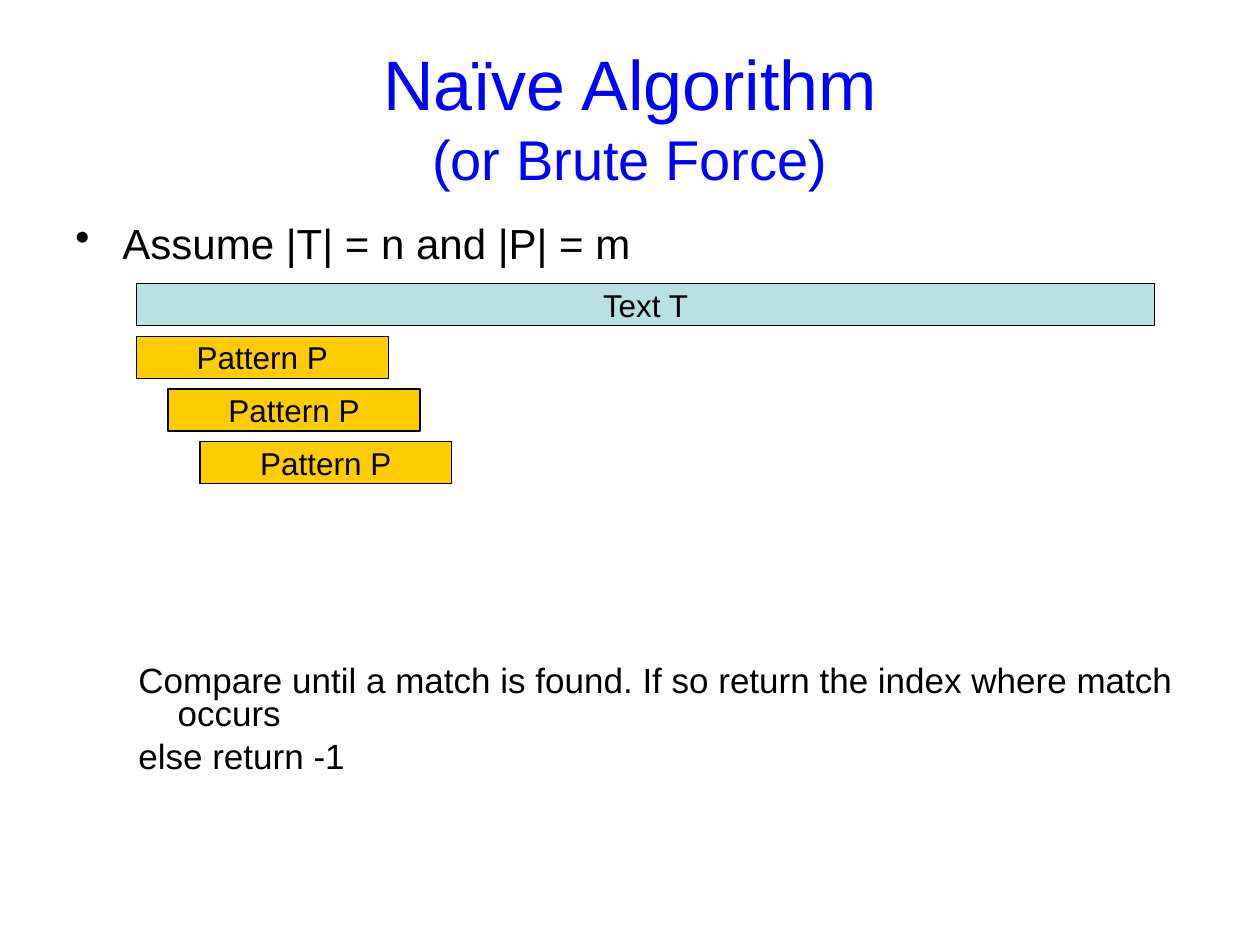
from dataclasses import dataclass

from lxml.etree import SubElement
from pptx import Presentation
from pptx.dml.color import RGBColor
from pptx.enum.shapes import MSO_SHAPE
from pptx.enum.text import MSO_ANCHOR, PP_ALIGN
from pptx.oxml.ns import qn
from pptx.slide import Slide
from pptx.util import Cm, Pt


@dataclass(frozen=True)
class Theme:
    font: str = "Arial"
    title: RGBColor = RGBColor(0, 0, 255)
    ink: RGBColor = RGBColor(0, 0, 0)
    text: RGBColor = RGBColor(0xBB, 0xE0, 0xE3)
    pattern: RGBColor = RGBColor(0xFF, 0xCC, 0)
    head: int = 40
    subhead: int = 32
    point: int = 24
    note: int = 20
    label: int = 18
    line: float = 0.75


@dataclass(frozen=True)
class Bar:
    label: str
    fill: RGBColor
    shift: int
    row: int
    width: float


@dataclass(frozen=True)
class Item:
    words: str
    size: int
    left: float
    hang: float
    before: int
    mark: str = ""


THEME = Theme()
LEFT, TOP = 2.75, 5.72
SHIFT, ROW, HIGH = 0.64, 1.06, 0.85

BARS = [Bar("Text T", THEME.text, 0, 0, 20.53)] + [
    Bar("Pattern P", THEME.pattern, n, n + 1, 5.08) for n in range(3)
]
ITEMS = [
    Item("Assume |T| = n and |P| = m", THEME.point, 0.95, 0.95, 6, "•"),
    Item("Compare until a match is found. If so return the index where match occurs",
         THEME.note, 2.06, 0.79, 228),
    Item("else return -1", THEME.note, 2.06, 0.79, 5),
]


def apply(target, values: dict) -> None:
    for name, value in values.items():
        setattr(target, name, value)


def add_run(para, words: str, size: int, color: RGBColor) -> None:
    run = para.add_run()
    run.text = words
    apply(run.font, {"name": THEME.font, "size": Pt(size)})
    run.font.color.rgb = color


def add_title(slide: Slide) -> None:
    frame = slide.shapes.add_textbox(Cm(1.27), Cm(0.76), Cm(22.86), Cm(3.18)).text_frame
    apply(frame, {"word_wrap": True, "vertical_anchor": MSO_ANCHOR.MIDDLE})
    para = frame.paragraphs[0]
    para.alignment = PP_ALIGN.CENTER
    add_run(para, "Naïve Algorithm", THEME.head, THEME.title)
    para.add_line_break()
    add_run(para, "(or Brute Force)", THEME.subhead, THEME.title)


def add_item(para, item: Item) -> None:
    apply(para, {"line_spacing": 0.8, "space_before": Pt(item.before)})
    add_run(para, item.words, item.size, THEME.ink)
    props = para._p.get_or_add_pPr()
    props.set("marL", str(Cm(item.left)))
    props.set("indent", str(-Cm(item.hang)))
    if item.mark:
        SubElement(props, qn("a:buChar")).set("char", item.mark)
    else:
        SubElement(props, qn("a:buNone"))


def add_body(slide: Slide) -> None:
    frame = slide.shapes.add_textbox(Cm(1.27), Cm(4.45), Cm(22.86), Cm(12.57)).text_frame
    frame.word_wrap = True
    for n, item in enumerate(ITEMS):
        add_item(frame.add_paragraph() if n else frame.paragraphs[0], item)


def add_bar(slide: Slide, bar: Bar) -> None:
    shape = slide.shapes.add_shape(
        MSO_SHAPE.RECTANGLE, Cm(LEFT + bar.shift * SHIFT), Cm(TOP + bar.row * ROW),
        Cm(bar.width), Cm(HIGH))
    shape.shadow.inherit = False
    shape.fill.solid()
    shape.fill.fore_color.rgb = bar.fill
    shape.line.color.rgb = THEME.ink
    shape.line.width = Pt(THEME.line)
    frame = shape.text_frame
    apply(frame, {"word_wrap": False, "vertical_anchor": MSO_ANCHOR.MIDDLE})
    para = frame.paragraphs[0]
    para.alignment = PP_ALIGN.CENTER
    add_run(para, bar.label, THEME.label, THEME.ink)


def main() -> None:
    deck = Presentation()
    apply(deck, {"slide_width": Cm(25.4), "slide_height": Cm(19.05)})
    slide = deck.slides.add_slide(deck.slide_layouts[6])
    add_title(slide)
    add_body(slide)
    for bar in BARS:
        add_bar(slide, bar)
    deck.save("out.pptx")


if __name__ == "__main__":
    main()
